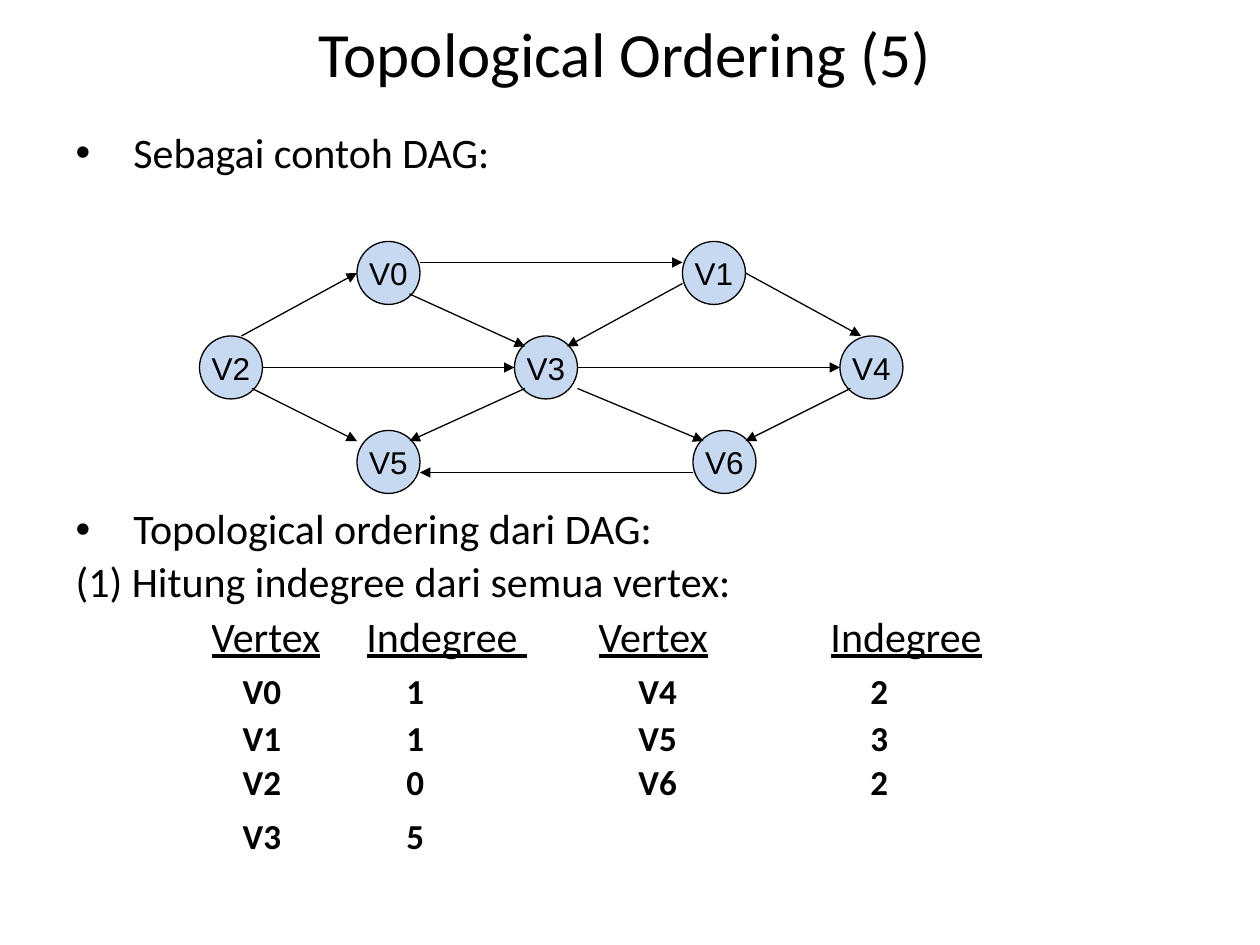
from lxml.etree import SubElement
from pptx import Presentation
from pptx.dml.color import RGBColor
from pptx.enum.shapes import MSO_CONNECTOR, MSO_SHAPE
from pptx.enum.text import MSO_ANCHOR, MSO_AUTO_SIZE, PP_ALIGN
from pptx.oxml.ns import qn
from pptx.util import Emu, Pt

PX = 7620  # EMU in one px, 120 px to the inch
BLACK = RGBColor(0x00, 0x00, 0x00)
LIGHT_BLUE = RGBColor(0xC6, 0xD9, 0xF1)

NODE_SIZE = 60
NODES = {
    "V0": (340, 230), "V1": (650, 230),
    "V2": (190, 320), "V3": (490, 320), "V4": (800, 320),
    "V5": (340, 410), "V6": (660, 410),
}
EDGES = [
    (230, 320, 340, 260),  # V2 to V0
    (400, 250, 650, 250),  # V0 to V1
    (710, 260, 820, 320),  # V1 to V4
    (650, 270, 540, 330),  # V1 to V3
    (390, 280, 500, 330),  # V0 to V3
    (250, 350, 490, 350),  # V2 to V3
    (550, 350, 800, 350),  # V3 to V4
    (240, 370, 340, 420),  # V2 to V5
    (500, 370, 390, 420),  # V3 to V5
    (550, 370, 670, 420),  # V3 to V6
    (660, 450, 400, 450),  # V6 to V5
    (810, 370, 710, 420),  # V4 to V6
]

INDEGREES = [
    ["Vertex", "Indegree ", "Vertex", "Indegree"],
    ["V0", "1", "V4", "2"],
    ["V1", "1", "V5", "3"],
    ["V2", "0", "V6", "2"],
    ["V3", "5", "", ""],
]
COLUMN_WIDTHS = [148, 221, 221, 160]
ROW_HEIGHTS = [50, 48, 45, 42, 51]
VALUE_INDENTS = [30, 38, 38, 38]


def px(length):
    return Emu(length * PX)


class SlideBuilder:
    text_font = "Calibri"
    node_font = "Arial"
    line_width = Pt(0.75)

    def __init__(self, slide):
        self.slide = slide

    def style(self, paragraph, size, name=text_font, bold=False):
        font = paragraph.font
        font.name, font.size, font.bold = name, Pt(size), bold
        font.color.rgb = BLACK

    def place(self, placeholder, left, top, width, height):
        placeholder.left, placeholder.top = px(left), px(top)
        placeholder.width, placeholder.height = px(width), px(height)
        frame = placeholder.text_frame
        frame.word_wrap = True
        frame.auto_size = MSO_AUTO_SIZE.NONE
        return frame

    def title(self, text, *box):
        frame = self.place(self.slide.shapes.title, *box)
        frame.vertical_anchor = MSO_ANCHOR.MIDDLE
        paragraph = frame.paragraphs[0]
        paragraph.text = text
        paragraph.alignment = PP_ALIGN.CENTER
        self.style(paragraph, 36)

    def body(self, lines, *box):
        """Fill the body with (text, space before, has bullet) lines."""
        frame = self.place(self.slide.placeholders[1], *box)
        for index, (text, space_before, bullet) in enumerate(lines):
            paragraph = frame.add_paragraph() if index else frame.paragraphs[0]
            paragraph.text = text
            paragraph.line_spacing = 0.9
            paragraph.space_before = Pt(space_before)
            properties = paragraph._p.get_or_add_pPr()
            hanging = px(55) if bullet else 0
            properties.set("marL", str(hanging))
            properties.set("indent", str(-hanging))
            if bullet:
                SubElement(properties, qn("a:buChar"), char="•")
            else:
                SubElement(properties, qn("a:buNone"))
            self.style(paragraph, 24)

    def table(self, rows, left, top):
        """Add a plain table with underlined headings over bold values."""
        table = self.slide.shapes.add_table(
            len(rows), len(COLUMN_WIDTHS), px(left), px(top),
            px(sum(COLUMN_WIDTHS)), px(sum(ROW_HEIGHTS))).table
        table.first_row = table.horz_banding = False
        for column, width in zip(table.columns, COLUMN_WIDTHS):
            column.width = px(width)
        for row, height in zip(table.rows, ROW_HEIGHTS):
            row.height = px(height)
        for row_index, texts in enumerate(rows):
            heading = row_index == 0
            for column_index, text in enumerate(texts):
                cell = table.cell(row_index, column_index)
                cell.fill.background()
                cell.vertical_anchor = MSO_ANCHOR.BOTTOM
                cell.margin_top = cell.margin_bottom = cell.margin_right = 0
                cell.margin_left = 0 if heading else px(VALUE_INDENTS[column_index])
                paragraph = cell.text_frame.paragraphs[0]
                paragraph.text = text
                self.style(paragraph, 24 if heading else 20, bold=not heading)
                paragraph.font.underline = heading

    def node(self, label, left, top):
        shape = self.slide.shapes.add_shape(
            MSO_SHAPE.OVAL, px(left), px(top), px(NODE_SIZE), px(NODE_SIZE))
        shape.shadow.inherit = False
        shape.fill.solid()
        shape.fill.fore_color.rgb = LIGHT_BLUE
        shape.line.color.rgb = BLACK
        shape.line.width = self.line_width
        frame = shape.text_frame
        frame.word_wrap = False
        frame.vertical_anchor = MSO_ANCHOR.MIDDLE
        paragraph = frame.paragraphs[0]
        paragraph.text = label
        paragraph.alignment = PP_ALIGN.CENTER
        self.style(paragraph, 18, self.node_font)

    def arrow(self, *ends):
        connector = self.slide.shapes.add_connector(
            MSO_CONNECTOR.STRAIGHT, *(px(end) for end in ends))
        connector.line.color.rgb = BLACK
        connector.line.width = self.line_width
        SubElement(connector.line._get_or_add_ln(), qn("a:tailEnd"), type="triangle")
        SubElement(connector._element.spPr, qn("a:effectLst"))


def main():
    presentation = Presentation()
    presentation.slide_width, presentation.slide_height = px(1200), px(900)
    builder = SlideBuilder(presentation.slides.add_slide(presentation.slide_layouts[1]))

    builder.title("Topological Ordering (5)", 55, 0, 1080, 100)
    # The graph stands in the space above the second bullet.
    builder.body([
        ("Sebagai contoh DAG:", 0, True),
        ("Topological ordering dari DAG:", 189, True),
        ("(1) Hitung indegree dari semua vertex:", 4.5, False),
    ], 60, 120, 1080, 684)
    builder.table(INDEGREES, 201, 582)

    for label, position in NODES.items():
        builder.node(label, *position)
    for ends in EDGES:
        builder.arrow(*ends)

    presentation.save("out.pptx")


if __name__ == "__main__":
    main()
